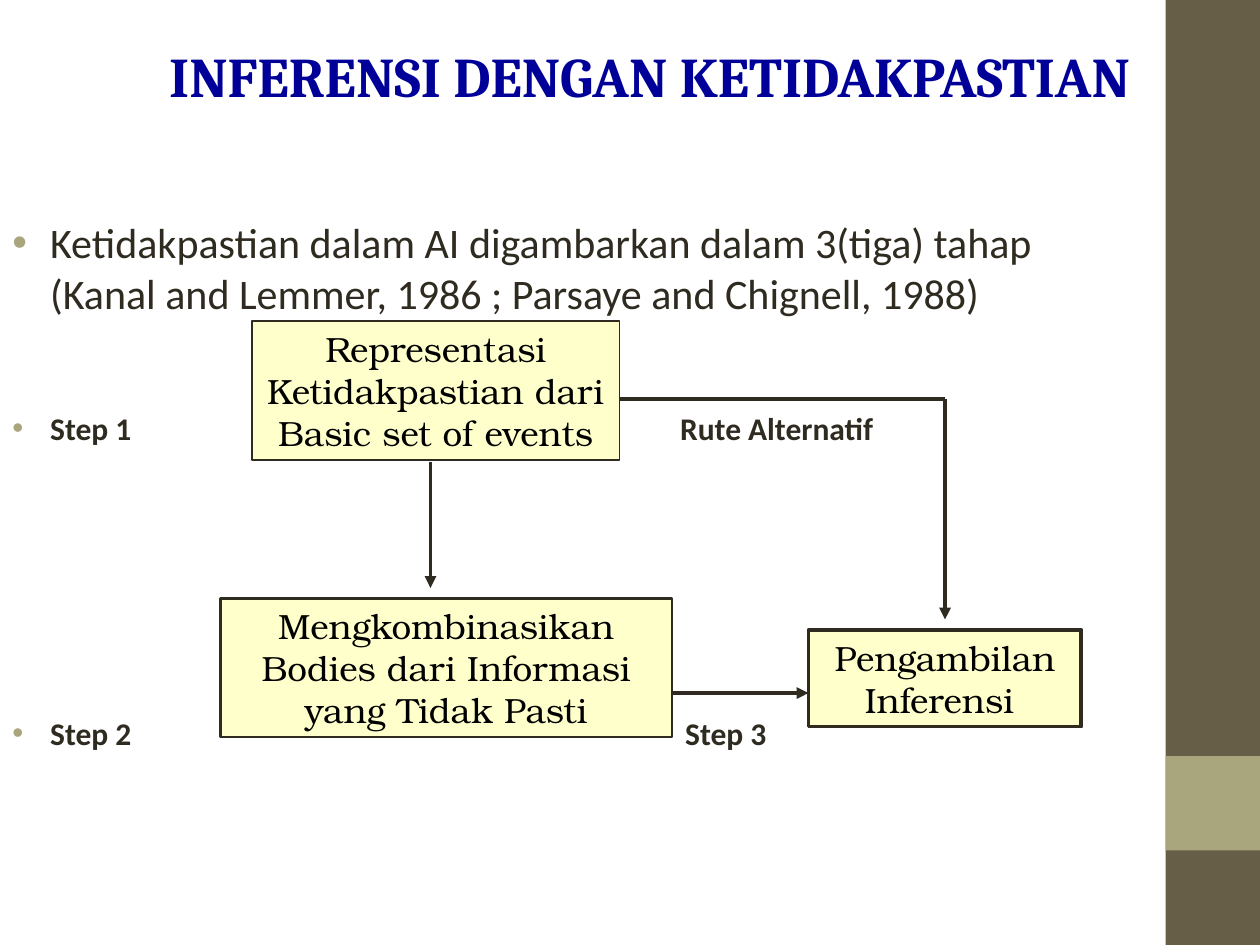
from lxml.etree import SubElement
from pptx import Presentation
from pptx.dml.color import RGBColor
from pptx.enum.shapes import MSO_CONNECTOR, MSO_SHAPE
from pptx.enum.text import MSO_ANCHOR as Anchor, PP_ALIGN as Align
from pptx.oxml.ns import qn
from pptx.util import Inches, Pt

WIDTH, HEIGHT = Inches(10), Inches(7.5)
COLUMNS, ROWS = 120, 90
COLUMN, ROW = WIDTH / COLUMNS, HEIGHT / ROWS

OLIVE = RGBColor(0x67, 0x5E, 0x47)
SAGE = RGBColor(0xA9, 0xA5, 0x7C)
NAVY = RGBColor(0x00, 0x00, 0x99)
INK = RGBColor(0x2F, 0x2B, 0x20)
CREAM = RGBColor(0xFF, 0xFF, 0xCC)
BLACK = RGBColor(0, 0, 0)


def cells(left, top, width, height):
    return (round(left * COLUMN), round(top * ROW),
            round(width * COLUMN), round(height * ROW))


def style(paragraph, font, size, color, bold=False):
    for run in paragraph.runs:
        run.font.name = font
        run.font.size = Pt(size)
        run.font.color.rgb = color
        run.font.bold = bold


def add_rect(slide, box, fill):
    rect = slide.shapes.add_shape(MSO_SHAPE.RECTANGLE, *cells(*box))
    rect.shadow.inherit = False
    rect.fill.solid()
    rect.fill.fore_color.rgb = fill
    rect.line.fill.background()
    return rect


def add_sidebar(slide, box):
    left, top, width, height = box
    add_rect(slide, box, OLIVE)
    add_rect(slide, (left, top + height * 0.8, width, height * 0.1), SAGE)


def place_title(slide, box):
    title = slide.shapes.title
    title.left, title.top, title.width, title.height = cells(*box)
    frame = title.text_frame
    frame.text = "INFERENSI DENGAN KETIDAKPASTIAN "
    frame.vertical_anchor = Anchor.BOTTOM
    frame.paragraphs[0].alignment = Align.CENTER
    style(frame.paragraphs[0], "Cambria", 32, NAVY, True)


def set_indent(paragraph, bulleted, tab):
    props = paragraph._p.get_or_add_pPr()
    props.set("marL", str(Inches(0.3)))
    props.set("indent", str(-Inches(0.3) if bulleted else 0))
    if bulleted:
        color = SubElement(props, qn("a:buClr"))
        SubElement(color, qn("a:srgbClr"), val=str(SAGE))
        SubElement(props, qn("a:buFont"), typeface="Arial")
        SubElement(props, qn("a:buChar"), char="•")
    if tab:
        stops = SubElement(props, qn("a:tabLst"))
        SubElement(stops, qn("a:tab"), pos=str(Inches(tab)), algn="l")


def add_steps(slide, box):
    frame = slide.shapes.add_textbox(*cells(*box)).text_frame
    frame.word_wrap = True
    lines = [
        ("Ketidakpastian dalam AI digambarkan dalam 3(tiga) tahap", 24, 6, True, None),
        ("(Kanal and Lemmer, 1986 ; Parsaye and Chignell, 1988)", 24, 6, False, None),
        ("Step 1\tRute Alternatif", 18, 56, True, 5.3),
        ("Step 2\tStep 3", 18, 157, True, 5.34),
    ]
    for index, (words, size, gap, bulleted, tab) in enumerate(lines):
        line = frame.add_paragraph() if index else frame.paragraphs[0]
        line.text = words
        line.alignment = Align.JUSTIFY
        line.line_spacing = 0.8
        line.space_before = Pt(gap)
        set_indent(line, bulleted, tab)
        style(line, "Calibri", size, INK, bold=size == 18)


def add_stage(slide, box, words, border):
    stage = add_rect(slide, box, CREAM)
    stage.line.color.rgb = INK
    stage.line.width = Pt(border)
    frame = stage.text_frame
    frame.word_wrap = True
    frame.text = words
    frame.paragraphs[0].alignment = Align.CENTER
    style(frame.paragraphs[0], "TeX Gyre Bonum", 20, BLACK)


def add_route(slide, *stops):
    for start, end in zip(stops, stops[1:]):
        x1, y1, x2, y2 = cells(*start, *end)
        leg = slide.shapes.add_connector(MSO_CONNECTOR.STRAIGHT, x1, y1, x2, y2)
        leg.line.color.rgb = INK
        leg.line.width = Pt(2.25)
        if end == stops[-1]:
            SubElement(leg.line._get_or_add_ln(), qn("a:tailEnd"), type="triangle")
        SubElement(leg._element.spPr, qn("a:effectLst"))


def add_diagram(slide, box):
    left, top, width, height = box
    right, bottom = left + width, top + height
    middle, turn = left + 20, right - 13
    add_stage(slide, (left + 3, top, 35, 13.2),
              "Representasi Ketidakpastian dari Basic set of events", 1)
    add_stage(slide, (left, bottom - 13.2, 43, 13.2),
              "Mengkombinasikan Bodies dari Informasi yang Tidak Pasti", 1.5)
    add_stage(slide, (right - 26, bottom - 10.2, 26, 9.2),
              "Pengambilan Inferensi ", 2.25)
    add_route(slide, (middle, top + 13.4), (middle, bottom - 14.2))
    add_route(slide, (left + 43, bottom - 4.2), (right - 26, bottom - 4.2))
    add_route(slide, (left + 38, top + 7.4), (turn, top + 7.4), (turn, bottom - 11.2))


def main():
    deck = Presentation()
    deck.slide_width, deck.slide_height = WIDTH, HEIGHT
    slide = deck.slides.add_slide(deck.slide_layouts[5])
    add_sidebar(slide, (111, 0, 9, ROWS))
    place_title(slide, (9, 0, 107, 11))
    add_steps(slide, (0, 21, 114, 70))
    add_diagram(slide, (21, 30.6, 82, 39.6))
    deck.save("out.pptx")


if __name__ == "__main__":
    main()
